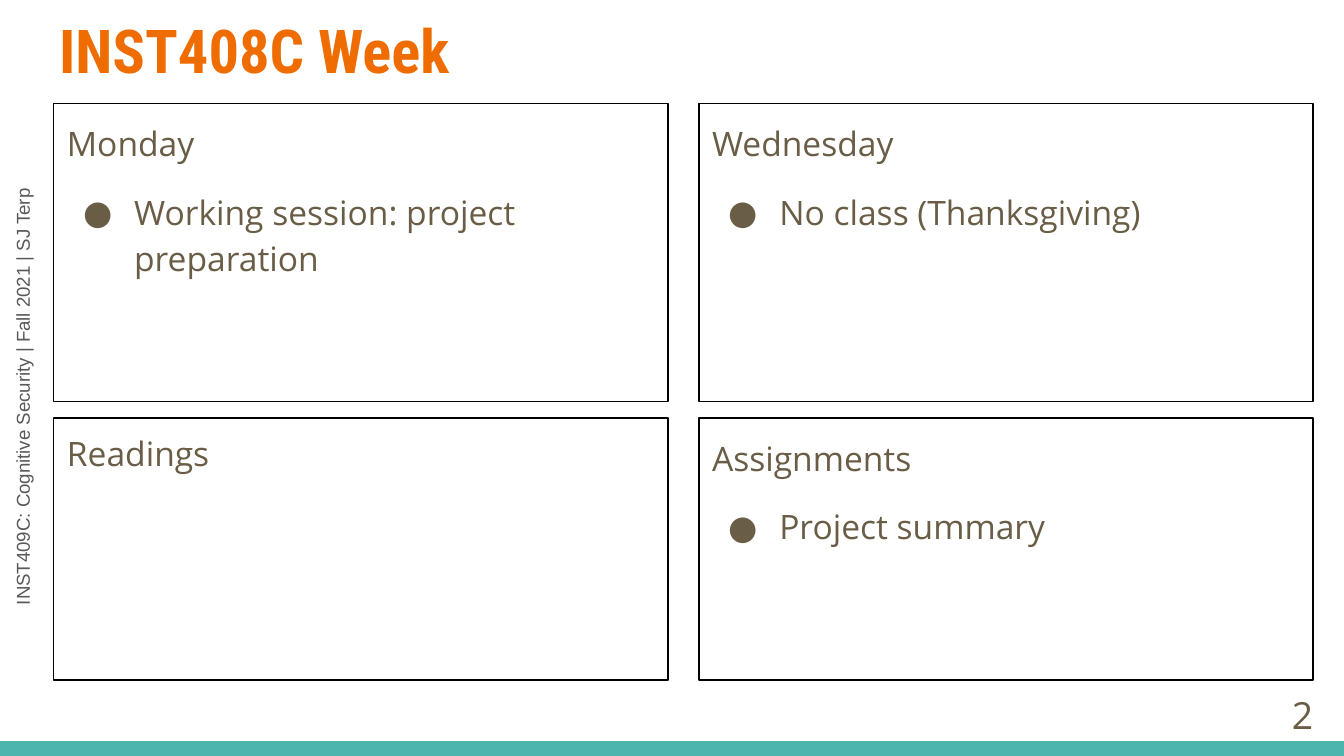
from lxml import etree
from pptx import Presentation
from pptx.dml.color import RGBColor
from pptx.enum.shapes import MSO_SHAPE
from pptx.enum.text import MSO_ANCHOR, PP_ALIGN
from pptx.oxml.ns import qn
from pptx.util import Inches, Pt

RECT = MSO_SHAPE.RECTANGLE
TOP, MIDDLE = MSO_ANCHOR.TOP, MSO_ANCHOR.MIDDLE
LEFT, RIGHT = PP_ALIGN.LEFT, PP_ALIGN.RIGHT
BROWN, ORANGE, TEAL, GRAY, BLACK = "695D46", "EF6C00", "4DB6AC", "595959", "000000"
WIDTH = 10
HEIGHT = WIDTH * 9 / 16
BODY = {"name": "Open Sans", "size": Pt(18), "bold": False}


def rgb(color):
    """Turn a hex string into a colour."""
    return RGBColor.from_string(color)


def set_frame(tf, anchor=TOP):
    """Give a text frame equal insets, wrapping and an anchor."""
    frame = {"word_wrap": True, "vertical_anchor": anchor}
    for side in ("left", "top", "right", "bottom"):
        frame[f"margin_{side}"] = Inches(0.1)
    for name, value in frame.items():
        setattr(tf, name, value)


def write(p, text, font, color, align=LEFT, **spacing):
    """Write one formatted run into a paragraph."""
    r = p.add_run()
    r.text = text
    for name, value in font.items():
        setattr(r.font, name, value)
    r.font.color.rgb = rgb(color)
    p.alignment = align
    for name, value in spacing.items():
        setattr(p, name, value)


def add_bullet(p, color, typeface):
    """Give a paragraph a hanging round bullet."""
    pPr = p._p.get_or_add_pPr()
    pPr.set("marL", str(Inches(0.5)))
    pPr.set("indent", str(Inches(-0.38)))
    buClr = etree.SubElement(pPr, qn("a:buClr"))
    etree.SubElement(buClr, qn("a:srgbClr"), val=color)
    etree.SubElement(pPr, qn("a:buFont"), typeface=typeface)
    etree.SubElement(pPr, qn("a:buChar"), char="●")


def add_title(s, box, text):
    """Place and format the title placeholder."""
    sp = s.shapes.title
    sp.left, sp.top, sp.width, sp.height = map(Inches, box)
    set_frame(sp.text_frame)
    font = {"name": "Roboto Condensed", "size": Pt(32.4), "bold": True}
    write(sp.text_frame.paragraphs[0], text, font, ORANGE)


def add_label(s, box, text, font, color, align=LEFT, anchor=TOP, rotation=0):
    """Add a single-line text box."""
    sp = s.shapes.add_textbox(*map(Inches, box))
    sp.rotation = rotation
    set_frame(sp.text_frame, anchor)
    write(sp.text_frame.paragraphs[0], text, font, color, align)


def add_bar(s, box):
    """Add the coloured bar along the bottom edge."""
    sp = s.shapes.add_shape(RECT, *map(Inches, box))
    sp.shadow.inherit = False
    sp.fill.solid()
    sp.fill.fore_color.rgb = rgb(TEAL)
    sp.line.fill.background()


def add_panel(s, box, heading, bullets, line_spacing):
    """Add an outlined panel with a heading and bullets."""
    sp = s.shapes.add_shape(RECT, *map(Inches, box))
    sp.shadow.inherit = False
    sp.fill.background()
    sp.line.color.rgb = rgb(BLACK)
    sp.line.width = Pt(0.75)
    tf = sp.text_frame
    set_frame(tf)
    write(tf.paragraphs[0], heading, BODY, BROWN, line_spacing=line_spacing)
    for text in bullets:
        p = tf.add_paragraph()
        write(p, text, BODY, BROWN, line_spacing=line_spacing, space_before=Pt(12))
        add_bullet(p, BROWN, BODY["name"])


def add_week(s, box, rows):
    """Lay out the panels of the week as a grid."""
    left, top, width, height = box
    gap_x, gap_y = 0.23, 0.12
    panel_width = (width - gap_x) / 2
    upper = 2.22
    for panels, panel_height in zip(rows, (upper, height - upper - gap_y)):
        for col, panel in enumerate(panels):
            x = left + col * (panel_width + gap_x)
            add_panel(s, (x, top, panel_width, panel_height), *panel)
        top += panel_height + gap_y


def main():
    """Build and save the slide."""
    prs = Presentation()
    prs.slide_width, prs.slide_height = Inches(WIDTH), Inches(HEIGHT)
    s = prs.slides.add_slide(prs.slide_layouts[5])
    add_label(s, (-1.6, 2.63, 3.57, 0.37),
              "INST409C: Cognitive Security | Fall 2021 | SJ Terp",
              {"name": "Arial", "size": Pt(10)}, GRAY, rotation=270)
    add_bar(s, (0, HEIGHT - 0.11, WIDTH, 0.11))
    add_title(s, (0.34, 0, 9.32, 0.77), "INST408C Week")
    add_week(s, (0.4, 0.77, 9.37, 4.29), [
        [("Monday", ["Working session: project preparation"], 1.15),
         ("Wednesday", ["No class (Thanksgiving)"], 1.15)],
        [("Readings", [], 1.05),
         ("Assignments", ["Project summary"], 1.15)],
    ])
    add_label(s, (9.27, 5.1, 0.6, 0.43), "2",
              {"name": "Open Sans", "size": Pt(20)}, BROWN, RIGHT, MIDDLE)
    prs.save("out.pptx")


if __name__ == "__main__":
    main()
